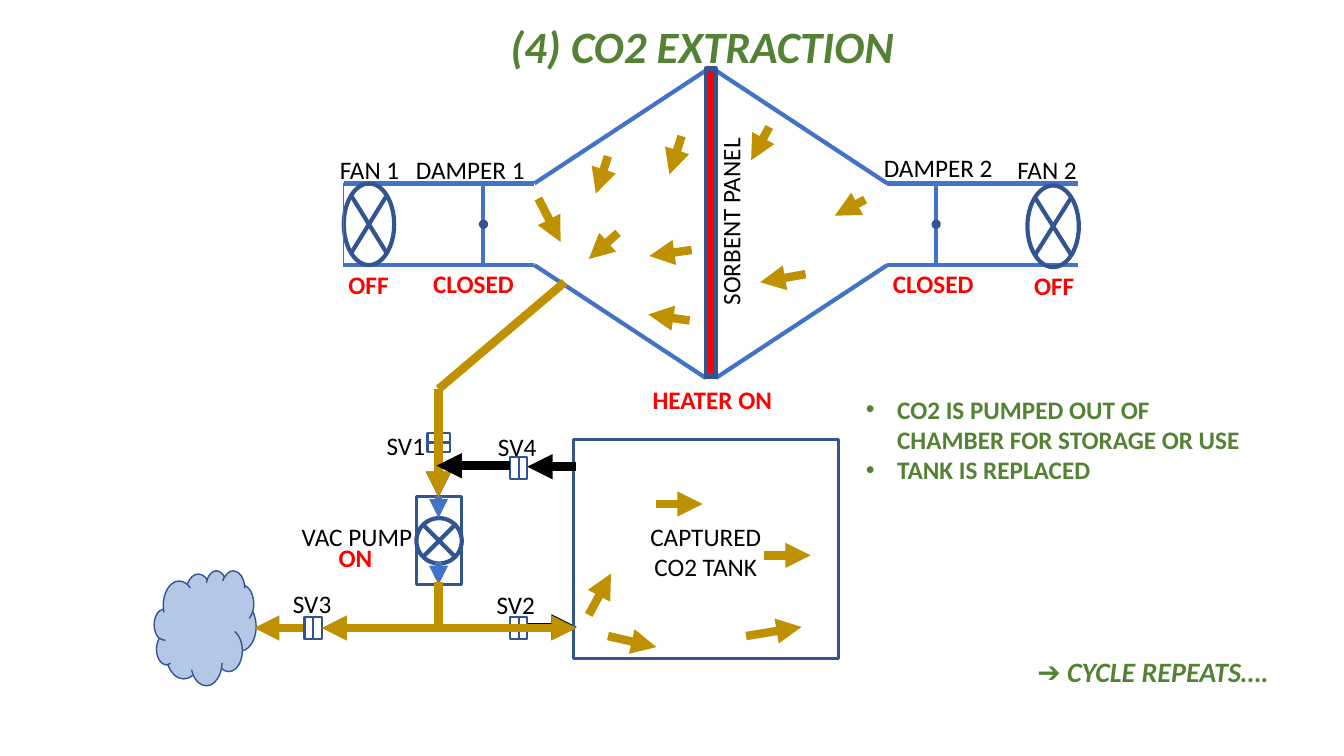
"""Build the CO2 extraction step slide: ducts, sorbent panel, vacuum pump and tank."""
from lxml import etree
from pptx import Presentation
from pptx.dml.color import RGBColor
from pptx.enum.shapes import MSO_CONNECTOR, MSO_SHAPE
from pptx.enum.text import MSO_ANCHOR, PP_ALIGN
from pptx.oxml.ns import qn
from pptx.util import Inches, Pt

STRAIGHT = MSO_CONNECTOR.STRAIGHT
RECT, OVAL, CLOUD = MSO_SHAPE.RECTANGLE, MSO_SHAPE.OVAL, MSO_SHAPE.CLOUD
FAN = MSO_SHAPE.FLOWCHART_SUMMING_JUNCTION
LEFT, CENTER = PP_ALIGN.LEFT, PP_ALIGN.CENTER
TOP = MSO_ANCHOR.TOP

BLACK = RGBColor(0x00, 0x00, 0x00)
RED = RGBColor(0xFF, 0x00, 0x00)
GREEN = RGBColor(0x54, 0x82, 0x35)
GOLD = RGBColor(0xBF, 0x90, 0x00)
BLUE = RGBColor(0x44, 0x72, 0xC4)
NAVY = RGBColor(0x32, 0x54, 0x91)
PALE = RGBColor(0xB4, 0xC7, 0xE7)

prs = Presentation()
prs.slide_width, prs.slide_height = Inches(13.33), Inches(7.5)
slide = prs.slides.add_slide(prs.slide_layouts[5])


def draw_line(points, color, width, ends=()):
    x1, y1, x2, y2 = map(Inches, points)
    line = slide.shapes.add_connector(STRAIGHT, x1, y1, x2, y2)
    line.line.color.rgb, line.line.width = color, Pt(width)
    for end in ends:
        etree.SubElement(line.line._get_or_add_ln(), qn(f"a:{end}End"), type="triangle")
    etree.SubElement(line._element.spPr, qn("a:effectLst"))


def draw_shape(kind, box, width, fill=None):
    shape = slide.shapes.add_shape(kind, *map(Inches, box))
    shape.shadow.inherit = False
    shape.line.color.rgb, shape.line.width = NAVY, Pt(width)
    if fill is None:
        shape.fill.background()
    else:
        shape.fill.solid()
        shape.fill.fore_color.rgb = fill


title = slide.shapes.title
title.left, title.top, title.width, title.height = map(Inches, (3.5, 0.14, 6.93, 0.64))
title.text_frame.text = "(4) CO2 EXTRACTION"
title.text_frame.vertical_anchor = TOP
heading = title.text_frame.paragraphs[0]
heading.alignment = CENTER
heading_format = {"name": "Calibri", "size": Pt(32), "bold": True, "italic": True}
for attribute, value in heading_format.items():
    setattr(heading.font, attribute, value)
heading.font.color.rgb = GREEN

panel_x, duct_top, duct_bottom = 7.05, 1.82, 2.63
for side, fan_box, damper_x in (
    (-1, (3.41, 1.82, 0.5, 0.81), 4.79),
    (1, (10.19, 1.84, 0.51, 0.81), 9.28),
):
    apex, shoulder, mouth = (panel_x + side * reach for reach in (0.05, 1.75, 3.64))
    for apex_y, duct_y in ((0.7, duct_top), (3.75, duct_bottom)):
        draw_line((apex, apex_y, shoulder, duct_y), BLUE, 3)
        draw_line((shoulder, duct_y, mouth, duct_y), BLUE, 3)
    draw_shape(FAN, fan_box, 3)
    draw_line((damper_x, duct_bottom, damper_x, duct_top), BLUE, 3)
    draw_shape(OVAL, (damper_x - 0.02, 2.2, 0.05, 0.05), 3, BLUE)
draw_line((3.41, duct_top, 3.41, 2.65), BLUE, 0.5)

draw_line((5.23, 6.22, 5.72, 6.22), BLACK, 6, ["tail"])
draw_line((4.35, 4.49, 4.35, 4.93), BLACK, 6, ["tail"])

draw_shape(FAN, (4.13, 5.14, 0.45, 0.45), 3)
draw_shape(RECT, (4.13, 4.93, 0.45, 0.87), 2.25)
for start_y in (4.92, 5.58):
    draw_line((4.35, start_y, 4.35, start_y + 0.22), BLUE, 4.5, ["tail"])

draw_shape(CLOUD, (1.53, 5.66, 1.01, 1.14), 1, PALE)
draw_shape(RECT, (5.69, 4.36, 2.63, 2.17), 2.25)
for half in range(2):
    draw_shape(RECT, (4.24, 4.3 + half * 0.09, 0.22, 0.09), 1.5)
    for valve_x, valve_y in ((3.02, 6.12), (5.06, 6.12), (5.06, 4.53)):
        draw_shape(RECT, (valve_x + half * 0.085, valve_y, 0.085, 0.22), 1.5)

draw_line((5.6, 2.8, 4.35, 3.86), GOLD, 6)
draw_line((4.35, 6.23, 4.35, 5.77), GOLD, 6)
draw_line((5.72, 6.23, 3.19, 6.23), GOLD, 6, ["head", "tail"])

gas_flows = [
    (3.01, 6.23, 2.52, 6.23), (4.35, 3.86, 4.35, 4.93),
    (6.03, 1.55, 5.91, 1.92), (5.34, 1.97, 5.56, 2.4), (6.13, 2.31, 5.84, 2.57),
    (6.86, 2.48, 6.44, 2.54), (6.84, 3.18, 6.43, 3.12), (6.76, 1.35, 6.64, 1.73),
    (7.99, 2.72, 7.54, 2.8), (8.58, 1.98, 8.28, 2.14), (7.63, 1.26, 7.45, 1.59),
    (5.84, 6.1, 6.06, 5.69), (6.03, 6.31, 6.51, 6.42), (6.51, 5, 6.97, 5),
    (7.58, 5.51, 8.04, 5.51), (7.4, 6.31, 7.95, 6.22),
]
for flow in gas_flows:
    draw_line(flow, GOLD, 6, ["tail"])
for flow in ((5.71, 4.63, 5.23, 4.63), (5.06, 4.62, 4.33, 4.62)):
    draw_line(flow, BLACK, 6, ["tail"])

draw_shape(RECT, (7, 0.7, 0.1, 3.04), 3, PALE)
draw_shape(RECT, (7, 0.68, 0.1, 3.04), 3, RED)

NAME = {"size": Pt(18), "bold": False, "italic": False}
STATE = {"size": Pt(18), "bold": True, "italic": False}
CLOSING = {"size": Pt(20), "bold": True, "italic": True}
labels = [
    ("FAN 1", (3.24, 1.48, 0.85, 0.36), NAME, BLACK),
    ("DAMPER 1", (4.01, 1.48, 1.31, 0.4), NAME, BLACK),
    ("DAMPER 2", (8.63, 1.46, 1.35, 0.4), NAME, BLACK),
    ("FAN 2", (9.96, 1.48, 0.85, 0.36), NAME, BLACK),
    ("SV1", (3.6, 4.22, 0.85, 0.36), NAME, BLACK),
    ("SV2", (4.69, 5.8, 0.85, 0.36), NAME, BLACK),
    ("SV3", (2.67, 5.79, 0.85, 0.36), NAME, BLACK),
    ("SV4", (4.71, 4.23, 0.84, 0.34), NAME, BLACK),
    ("SORBENT PANEL", (5.8, 2.02, 2.85, 0.36), NAME, BLACK),
    ("VAC PUMP", (2.78, 5.12, 1.52, 0.36), NAME, BLACK),
    ("CAPTURED CO2 TANK", (6.25, 5.12, 1.5, 0.71), NAME, BLACK),
    ("HEATER ON", (6.25, 3.76, 1.63, 0.4), STATE, RED),
    ("OFF", (3.23, 2.62, 0.85, 0.4), STATE, RED),
    ("CLOSED", (4.07, 2.61, 1.25, 0.4), STATE, RED),
    ("OFF", (10.03, 2.63, 0.85, 0.4), STATE, RED),
    ("CLOSED", (8.63, 2.61, 1.25, 0.4), STATE, RED),
    ("ON", (3.1, 5.33, 0.85, 0.4), STATE, RED),
    ("CO2 IS PUMPED OUT OF CHAMBER FOR STORAGE OR USE\nTANK IS REPLACED",
     (8.49, 3.86, 4, 1.01), STATE, GREEN),
    ("➔ CYCLE REPEATS….", (10.19, 6.44, 2.93, 0.44), CLOSING, GREEN),
]
for wording, box, style, color in labels:
    label = slide.shapes.add_textbox(*map(Inches, box))
    label.rotation = 270 if wording == "SORBENT PANEL" else 0
    label.text_frame.word_wrap = True
    label.text_frame.text = wording
    for paragraph in label.text_frame.paragraphs:
        paragraph.alignment = LEFT if color == GREEN else CENTER
        if "\n" in wording:
            properties = paragraph._p.get_or_add_pPr()
            properties.set("marL", str(Inches(0.31)))
            properties.set("indent", str(Inches(-0.31)))
            etree.SubElement(properties, qn("a:buFont"), typeface="Arial")
            etree.SubElement(properties, qn("a:buChar"), char="•")
        paragraph.font.name = "Calibri"
        paragraph.font.color.rgb = color
        for attribute, value in style.items():
            setattr(paragraph.font, attribute, value)

prs.save("out.pptx")
